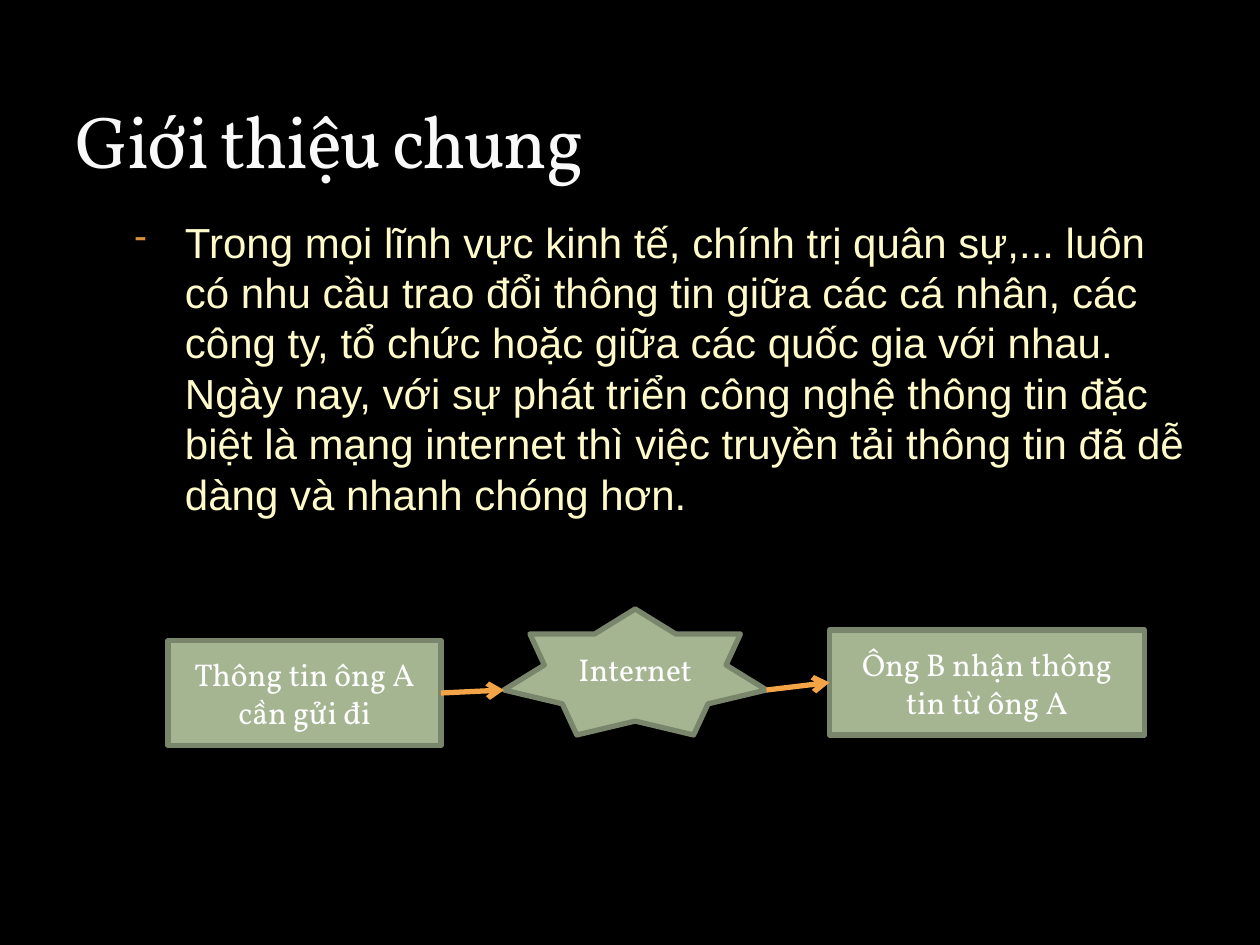
from pptx import Presentation
from pptx.dml.color import RGBColor
from pptx.enum.shapes import MSO_CONNECTOR as Link, MSO_SHAPE as Form
from pptx.enum.text import MSO_ANCHOR as Anchor, PP_ALIGN as Align
from pptx.oxml.ns import qn
from pptx.util import Inches, Pt
from lxml.etree import SubElement as Sub

BLACK = RGBColor(0x00, 0x00, 0x00)
WHITE = RGBColor(0xFF, 0xFF, 0xFF)
PALE = RGBColor(0xF9, 0xF9, 0xF9)
CREAM = RGBColor(0xFE, 0xFA, 0xC9)
SAGE = RGBColor(0xA5, 0xB5, 0x92)
MOSS = RGBColor(0x7A, 0x86, 0x6C)
AMBER = RGBColor(0xF3, 0xA4, 0x47)
DASH = RGBColor(0xD6, 0x91, 0x3F)

WIDE, HIGH = Inches(10), Inches(7.5)
COLS, ROWS = 120, 90

TITLE = "Giới thiệu chung"
BODY = (
    "Trong mọi lĩnh vực kinh tế, chính trị quân sự,... luôn có nhu cầu "
    "trao đổi thông tin giữa các cá nhân, các công ty, tổ chức hoặc giữa "
    "các quốc gia với nhau. Ngày nay, với sự phát triển công nghệ thông "
    "tin đặc biệt là mạng internet thì việc truyền tải thông tin đã dễ "
    "dàng và nhanh chóng hơn."
)


class Deck:
    """Holds the style and the current slide; lengths are grid cells."""

    serif, sans = "Vollkorn", "Arial"
    edge = Pt(3)

    def __init__(self):
        self.prs = Presentation()
        self.prs.slide_width, self.prs.slide_height = WIDE, HIGH
        self.slide = self.prs.slides.add_slide(self.prs.slide_layouts[6])
        fill = self.slide.background.fill
        fill.solid()
        fill.fore_color.rgb = BLACK

    def grid(self, *cells):
        units = (WIDE / COLS, HIGH / ROWS)
        return [round(n * units[i % 2]) for i, n in enumerate(cells)]

    def label(self, shape, words, size, color, font, anchor):
        frame = shape.text_frame
        frame.word_wrap = True
        frame.vertical_anchor = anchor
        frame.text = words
        para = frame.paragraphs[0]
        face = para.runs[0].font
        face.name, face.size, face.color.rgb = font, Pt(size), color
        return para

    def text(self, cells, words, size, color, font, anchor=Anchor.TOP):
        box = self.slide.shapes.add_textbox(*self.grid(*cells))
        return self.label(box, words, size, color, font, anchor)

    def bullet(self, para, mark, color, share, left, hang):
        props = para._p.get_or_add_pPr()
        props.set("marL", str(Inches(left)))
        props.set("indent", str(-Inches(hang)))
        tint = Sub(props, qn("a:buClr"))
        Sub(tint, qn("a:srgbClr"), val=str(color))
        Sub(props, qn("a:buSzPct"), val=str(share * 1000))
        Sub(props, qn("a:buChar"), char=mark)

    def node(self, form, cells, words):
        shape = self.slide.shapes.add_shape(form, *self.grid(*cells))
        shape.shadow.inherit = False
        shape.fill.solid()
        shape.fill.fore_color.rgb = SAGE
        shape.line.color.rgb, shape.line.width = MOSS, self.edge
        para = self.label(shape, words, 18, WHITE, self.serif, Anchor.MIDDLE)
        para.alignment = Align.CENTER
        return shape

    def arrow(self, start, end):
        line = self.slide.shapes.add_connector(
            Link.STRAIGHT, *self.grid(*start, *end))
        line.line.color.rgb, line.line.width = AMBER, self.edge
        props = line._element.spPr
        Sub(props.find(qn("a:ln")), qn("a:tailEnd"), type="arrow")
        Sub(props, qn("a:effectLst"))
        return line


def main():
    deck = Deck()

    # Title and body
    head = deck.text((6, 2, 108, 16), TITLE, 42, PALE, deck.serif,
                     Anchor.BOTTOM)
    head.runs[0]._r.get_or_add_rPr().set("spc", "-100")
    body = deck.text((6, 20, 108, 60), BODY, 24, CREAM, deck.sans)
    body.space_before = Pt(3)
    deck.bullet(body, "-", DASH, 85, left=0.87, hang=0.4)

    # Sender, network and receiver
    goal = deck.node(Form.RECTANGLE, (79, 60, 30, 10),
                     "Ông B nhận thông tin từ ông A")
    deck.node(Form.STAR_7_POINT, (48, 58, 25, 12), "Internet")
    source = deck.node(Form.RECTANGLE, (16, 61, 26, 10),
                       "Thông tin ông A cần gửi đi")

    # Arrows through the side tips of the star
    tip = 65.72
    deck.arrow((42, 66), (48, tip)).begin_connect(source, 3)
    deck.arrow((73, tip), (79, 65)).end_connect(goal, 1)

    deck.prs.save("out.pptx")


if __name__ == "__main__":
    main()
